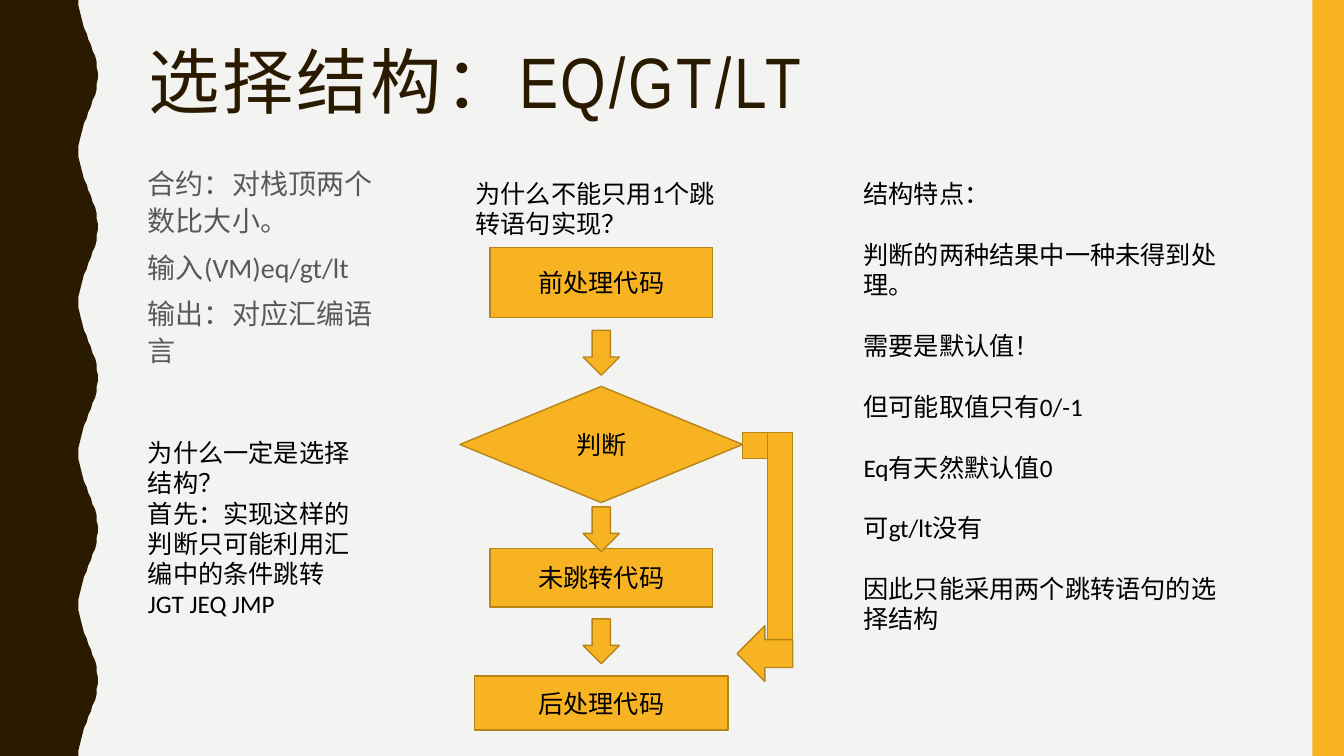
import math

from pptx import Presentation
from pptx.dml.color import RGBColor
from pptx.enum import shapes, text
from pptx.util import Pt

COLORS = {
    "background": "F3F3F2",
    "brown": "2A1A00",
    "amber": "F8B323",
    "outline": "B7841A",
    "grey": "595959",
    "black": "000000",
}
KIND = shapes.MSO_SHAPE
WIDTH, HEIGHT = 960, 540
FLOW_CENTER = 429.5


def color(name):
    """Return the named palette colour."""
    return RGBColor.from_string(COLORS[name])


def format_paragraph(paragraph, size, font_color, font="Calibri"):
    """Set the font of a whole paragraph."""
    paragraph.font.size = Pt(size)
    paragraph.font.name = font
    paragraph.font.color.rgb = color(font_color)


def paint(shape, fill, line=None):
    """Fill a shape, outline it if asked, and remove its shadow."""
    shape.shadow.inherit = False
    shape.fill.solid()
    shape.fill.fore_color.rgb = color(fill)
    if line:
        shape.line.color.rgb = color(line)
        shape.line.width = Pt(1)
    else:
        shape.line.fill.background()


def add_wave(slide):
    """Draw the wavy band along the left edge."""
    middle, amplitude, period, step = 63, 6.8, 108, 4
    points = [
        (middle - amplitude * math.cos(2 * math.pi * y / period), y)
        for y in range(0, HEIGHT + 1, step)
    ]
    builder = slide.shapes.build_freeform(0, 0, scale=Pt(1))
    builder.add_line_segments(points + [(0, HEIGHT)], close=True)
    paint(builder.convert_to_shape(), "brown")


def add_title(slide, wording):
    """Place and format the title placeholder."""
    title = slide.shapes.title
    title.left, title.top, title.width, title.height = map(Pt, (98.6, 30, 801.4, 83))
    frame = title.text_frame
    frame.text = wording
    frame.auto_size = text.MSO_AUTO_SIZE.NONE
    frame.vertical_anchor = text.MSO_ANCHOR.TOP
    paragraph = frame.paragraphs[0]
    paragraph.alignment = text.PP_ALIGN.LEFT
    paragraph.line_spacing = 0.9
    format_paragraph(paragraph, 51, "brown", "Arial Narrow")
    paragraph.runs[0]._r.get_or_add_rPr().set("spc", "200")


def add_text(slide, box, lines, size=18, font_color="black", gap=0, spacing=1.0):
    """Add a wrapped text box with one paragraph per line."""
    frame = slide.shapes.add_textbox(*map(Pt, box)).text_frame
    frame.word_wrap = True
    for index, line in enumerate(lines):
        paragraph = frame.add_paragraph() if index else frame.paragraphs[0]
        paragraph.text = line
        paragraph.line_spacing = spacing
        paragraph.space_before = Pt(gap if index else 0)
        format_paragraph(paragraph, size, font_color)


def add_block(slide, kind, box, label=""):
    """Add an amber flowchart shape with an optional centred label."""
    shape = slide.shapes.add_shape(kind, *map(Pt, box))
    paint(shape, "amber", "outline")
    if label:
        frame = shape.text_frame
        frame.margin_left = frame.margin_right = 0
        frame.margin_top = frame.margin_bottom = 0
        frame.vertical_anchor = text.MSO_ANCHOR.MIDDLE
        paragraph = frame.paragraphs[0]
        paragraph.text = label
        paragraph.alignment = text.PP_ALIGN.CENTER
        format_paragraph(paragraph, 18, "black")


def add_flow_step(slide, kind, top, width, height, label=""):
    """Add a block centred on the axis of the flowchart."""
    add_block(slide, kind, (FLOW_CENTER - width / 2, top, width, height), label)


def add_flowchart(slide):
    """Draw the steps, the arrows between them and the jump branch."""
    steps = [
        (KIND.RECTANGLE, 177, 159, 50, "前处理代码"),
        (KIND.FLOWCHART_DECISION, 276, 202, 83, "判断"),
        (KIND.RECTANGLE, 391.7, 159, 41.8, "未跳转代码"),
        (KIND.RECTANGLE, 483, 181, 38.5, "后处理代码"),
    ]
    for step in steps:
        add_flow_step(slide, *step)
    for top in (236, 362, 442):
        add_flow_step(slide, KIND.DOWN_ARROW, top, 26, 32)
    add_block(slide, KIND.RECTANGLE, (530.5, 309, 35.5, 18.5))
    add_block(slide, KIND.RECTANGLE, (548.3, 309, 18, 165))
    add_block(slide, KIND.LEFT_ARROW, (526.5, 447, 39.8, 39.8))


def main():
    """Build the slide and save it."""
    presentation = Presentation()
    presentation.slide_width, presentation.slide_height = Pt(WIDTH), Pt(HEIGHT)
    slide = presentation.slides.add_slide(presentation.slide_layouts[5])
    slide.background.fill.solid()
    slide.background.fill.fore_color.rgb = color("background")

    add_wave(slide)
    side_bar = slide.shapes.add_shape(KIND.RECTANGLE, Pt(937.5), 0, Pt(22.5), Pt(HEIGHT))
    paint(side_bar, "amber")
    add_title(slide, "选择结构：EQ/GT/LT")

    contract = ["合约：对栈顶两个数比大小。", "输入(VM)eq/gt/lt", "输出：对应汇编语言"]
    add_text(slide, (98.6, 113, 188, 168), contract, 20, "grey", gap=7, spacing=1.1)
    add_text(slide, (98.6, 309, 174, 138), [
        "为什么一定是选择结构？",
        "首先：实现这样的判断只可能利用汇编中的条件跳转",
        "JGT JEQ JMP",
    ])
    add_text(slide, (332.6, 124, 193.7, 51), ["为什么不能只用1个跳转语句实现？"])
    add_flowchart(slide)
    add_text(slide, (609.8, 124, 270.7, 334), [
        "结构特点：",
        "判断的两种结果中一种未得到处理。",
        "需要是默认值！",
        "但可能取值只有0/-1",
        "Eq有天然默认值0",
        "可gt/lt没有",
        "因此只能采用两个跳转语句的选择结构",
    ], gap=21.8)
    presentation.save("out.pptx")


if __name__ == "__main__":
    main()
